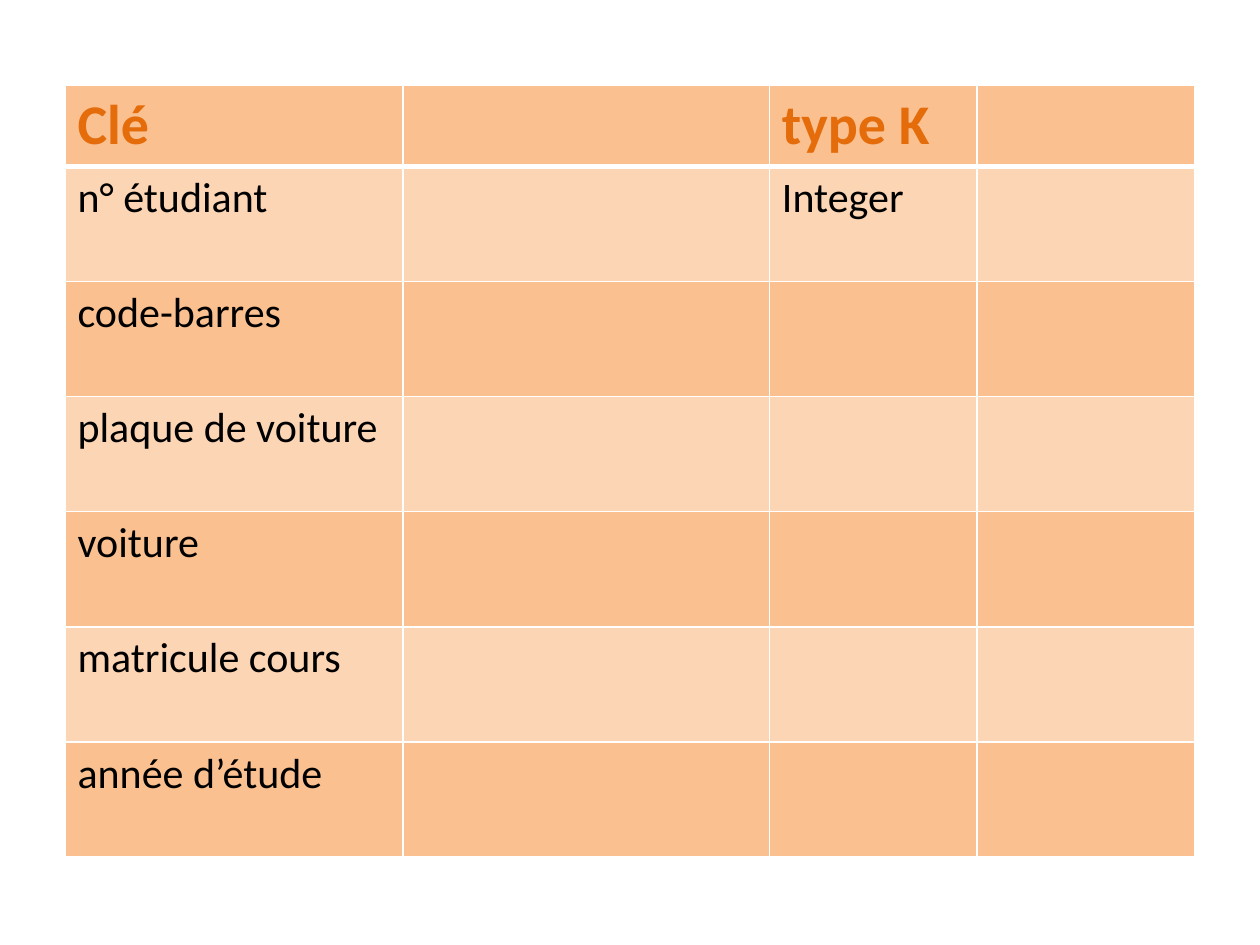
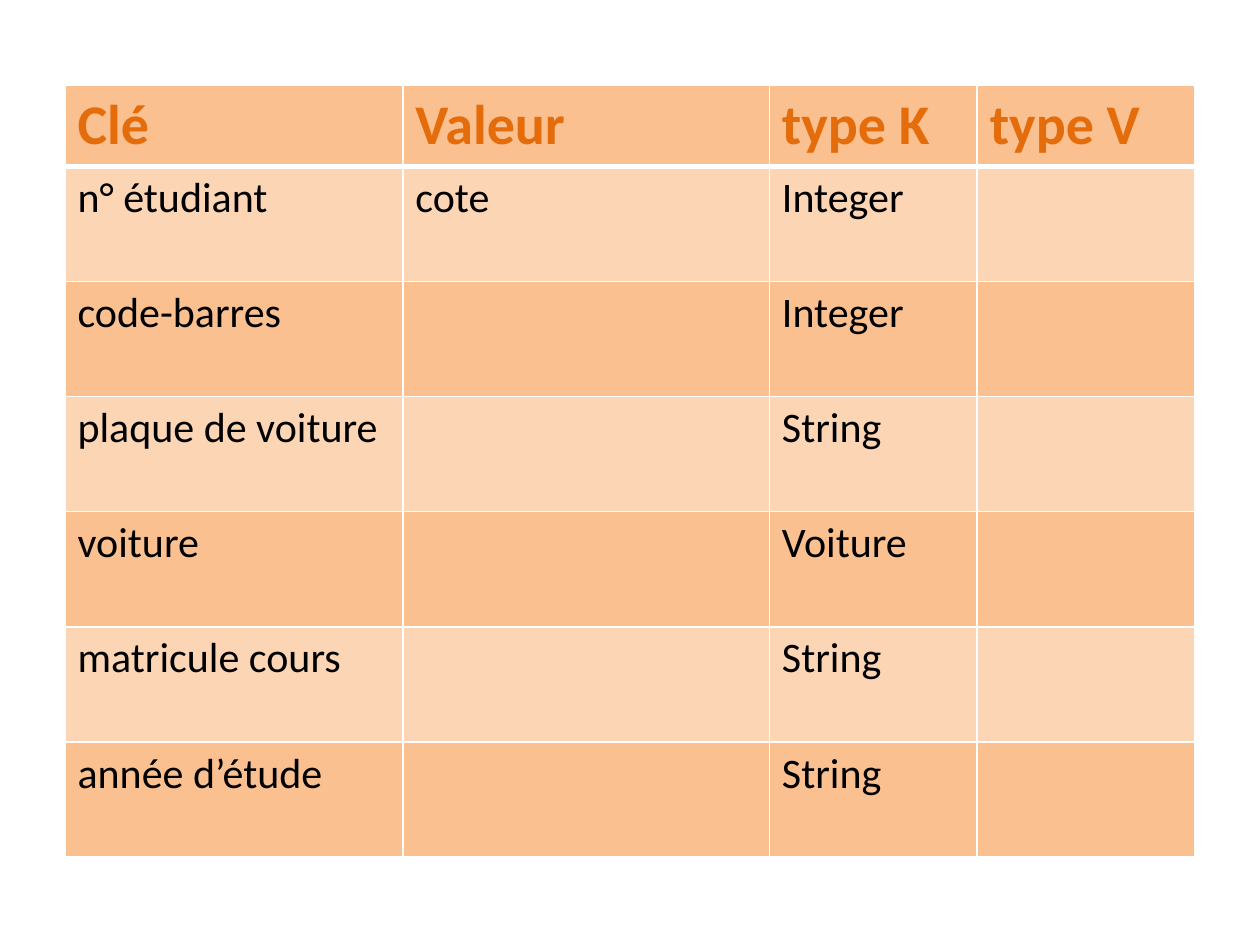
from dataclasses import dataclass

from lxml.etree import fromstring
from pptx import Presentation
from pptx.dml.color import RGBColor as RGB
from pptx.oxml.ns import nsdecls
from pptx.util import Cm, Pt


# Shared look
@dataclass(frozen=True)
class Theme:
    font: str = "Calibri"
    head_size: int = 32
    body_size: int = 24
    head_text: str = "E46C0A"
    body_text: str = "000000"
    dark_band: str = "FAC090"
    light_band: str = "FCD5B5"
    rule: str = "FFFFFF"
    thin: int = 1
    thick: int = 3


THEME = Theme()

# Table geometry in centimetres
LEFT, TOP = 1.31, 1.72
COL_WIDTHS = (6.81, 7.39, 4.19, 4.39)
HEAD_HEIGHT, ROW_HEIGHT = 1.63, 2.32

# Table content
KEYS = ("n° étudiant", "code-barres", "plaque de voiture",
        "voiture", "matricule cours", "année d’étude")
KEY_TYPES = ("Integer", "Integer", "String", "Voiture", "String", "String")


def write(tf, text, size=THEME.body_size, color=THEME.body_text, bold=False):
    """Put one formatted line in a text frame."""
    r = tf.paragraphs[0].add_run()
    r.text = text
    r.font.name = THEME.font
    r.font.size = Pt(size)
    r.font.bold = bold
    r.font.color.rgb = RGB.from_string(color)


def set_borders(cell, **widths):
    """Draw all four cell borders; keywords L, R, T, B override the width."""
    tc_pr = cell._tc.get_or_add_tcPr()
    for i, side in enumerate("LRTB"):
        width = Pt(widths.get(side, THEME.thin))
        tc_pr.insert(i, fromstring(
            f'<a:ln{side} {nsdecls("a")} w="{width}"><a:solidFill>'
            f'<a:srgbClr val="{THEME.rule}"/></a:solidFill></a:ln{side}>'))


def fill_cell(cell, text, row):
    """Give a cell its band, borders and text according to its row."""
    cell.fill.solid()
    cell.fill.fore_color.rgb = RGB.from_string(
        THEME.light_band if row % 2 else THEME.dark_band)
    # The thick rule lies between the header and the first row
    if row == 0:
        set_borders(cell, B=THEME.thick)
    elif row == 1:
        set_borders(cell, T=THEME.thick)
    else:
        set_borders(cell)
    if text and row == 0:
        write(cell.text_frame, text, size=THEME.head_size,
              color=THEME.head_text, bold=True)
    elif text:
        write(cell.text_frame, text)


def add_map_table(slide, header, rows):
    """Add the key and value table with its header row."""
    heights = [HEAD_HEIGHT] + [ROW_HEIGHT] * len(rows)
    table = slide.shapes.add_table(
        len(heights), len(COL_WIDTHS), Cm(LEFT), Cm(TOP),
        Cm(sum(COL_WIDTHS)), Cm(sum(heights))).table
    for col, width in zip(table.columns, COL_WIDTHS):
        col.width = Cm(width)
    for i, (height, texts) in enumerate(zip(heights, [header, *rows])):
        table.rows[i].height = Cm(height)
        for cell, text in zip(table.rows[i].cells, texts):
            fill_cell(cell, text, i)


def add_map_slide(prs, header, values, key_types):
    """Add a slide whose unanswered cells stay empty."""
    slide = prs.slides.add_slide(prs.slide_layouts[6])
    rows = [(key, values.get(key, ""), key_types.get(key, ""), "")
            for key in KEYS]
    add_map_table(slide, header, rows)


def main():
    prs = Presentation()
    prs.slide_width, prs.slide_height = Cm(25.4), Cm(19.05)

    # Keys, with the first key type as an example
    add_map_slide(prs, ("Clé", "", "type K", ""),
                  values={}, key_types={KEYS[0]: KEY_TYPES[0]})

    # All key types, with the first value as an example
    add_map_slide(prs, ("Clé", "Valeur", "type K", "type V"),
                  values={KEYS[0]: "cote"},
                  key_types=dict(zip(KEYS, KEY_TYPES)))

    prs.save("out.pptx")


if __name__ == "__main__":
    main()
